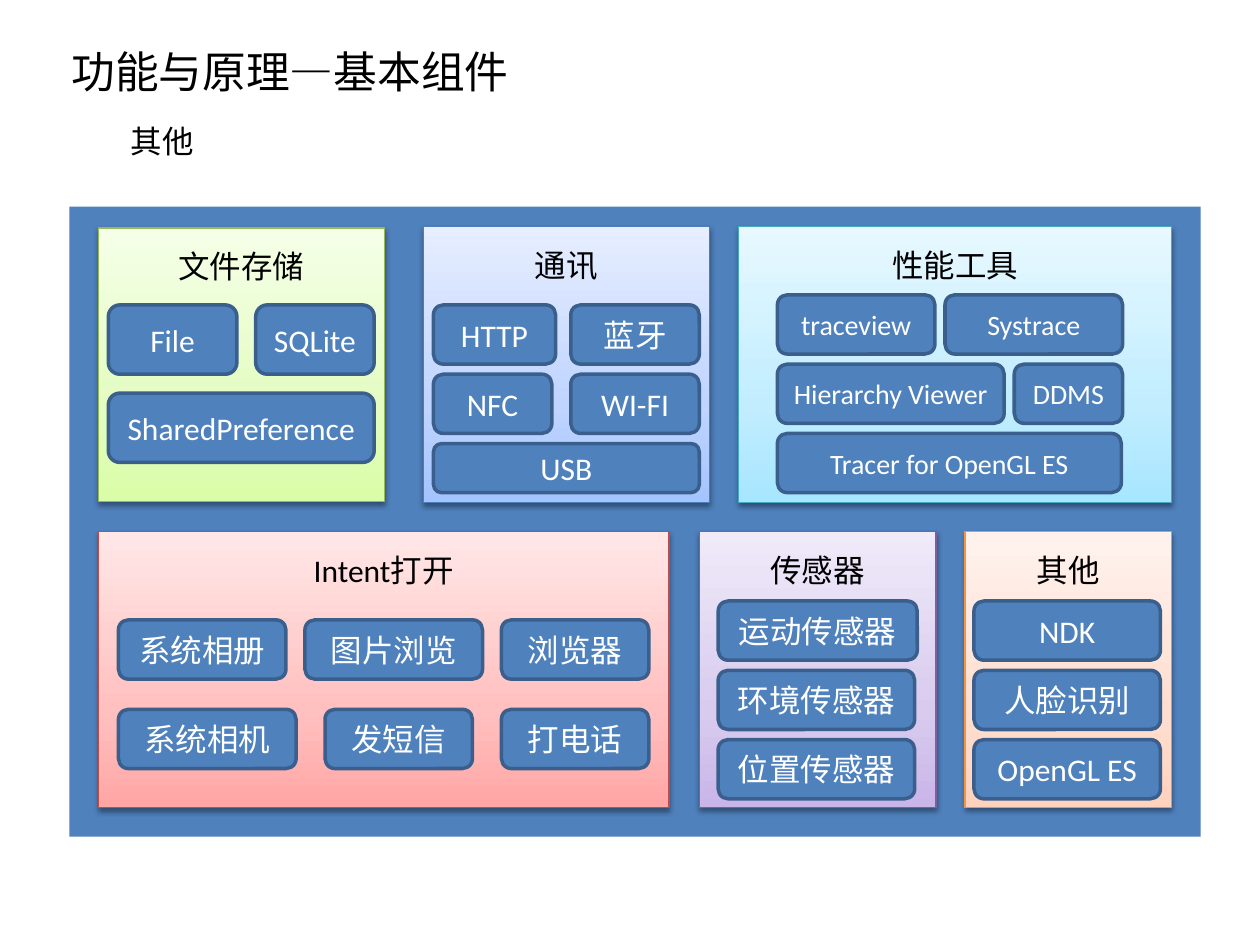
"""Build the overview slide of the basic components and their functions."""
from copy import deepcopy
from dataclasses import dataclass

from lxml import etree
from pptx import Presentation
from pptx.dml.color import RGBColor
from pptx.enum.shapes import MSO_SHAPE
from pptx.enum.text import MSO_ANCHOR, MSO_AUTO_SIZE, PP_ALIGN
from pptx.oxml.ns import qn
from pptx.util import Inches, Pt

RECTANGLE = MSO_SHAPE.RECTANGLE
ROUNDED = MSO_SHAPE.ROUNDED_RECTANGLE
TOP, MIDDLE = MSO_ANCHOR.TOP, MSO_ANCHOR.MIDDLE
CENTER = PP_ALIGN.CENTER
GROW = MSO_AUTO_SIZE.SHAPE_TO_FIT_TEXT


@dataclass(frozen=True)
class Theme:
    blue: str = "4F81BD"
    tile_line: str = "3A5F8C"
    dark: str = "000000"
    light: str = "FFFFFF"
    latin: str = "Calibri"
    chinese: str = "Noto Sans CJK SC"
    title_size: int = 25
    body_size: int = 18
    small_size: int = 16
    tile_line_width: float = 2
    panel_line_width: float = 0.75
    gradient_positions: tuple = (0, 0.35, 1)


@dataclass(frozen=True)
class Tile:
    label: str
    left: float
    width: float


@dataclass(frozen=True)
class Row:
    top: float
    height: float
    tiles: tuple[Tile, ...]


@dataclass(frozen=True)
class Panel:
    title: str
    left: float
    top: float
    width: float
    height: float
    gradient: tuple[str, str, str]
    line: str
    rows: tuple[Row, ...]
    tile_size: int = 18


THEME = Theme()
UPPER, LOWER, PANEL_HEIGHT = 1.8, 4.22, 2.19
TILE_HEIGHT = 0.47
STACK_STEP = 0.55

PANELS = (
    Panel("文件存储", 0.78, 1.81, 2.27, 2.17, ("DAFDA7", "E4FCC2", "F5FFE7"), "98B955", (
        Row(2.42, 0.55, (Tile("File", 0.86, 1.02), Tile("SQLite", 2.03, 0.94))),
        Row(3.12, 0.55, (Tile("SharedPreference", 0.86, 2.11),)),
    )),
    Panel("通讯", 3.36, UPPER, 2.27, PANEL_HEIGHT, ("A4C4FF", "BFD4FF", "E6EEFF"), "4B7EBC", (
        Row(2.42, TILE_HEIGHT, (Tile("HTTP", 3.44, 0.97), Tile("蓝牙", 4.53, 1.02))),
        Row(2.97, TILE_HEIGHT, (Tile("NFC", 3.44, 0.94), Tile("WI-FI", 4.53, 1.02))),
        Row(3.52, 0.39, (Tile("USB", 3.44, 2.11),)),
    )),
    Panel("性能工具", 5.86, UPPER, 3.44, PANEL_HEIGHT, ("A7E6FF", "C1EDFF", "E7F8FF"), "46AAC5", (
        Row(2.34, TILE_HEIGHT, (Tile("traceview", 6.17, 1.25), Tile("Systrace", 7.5, 1.41))),
        Row(2.89, TILE_HEIGHT, (Tile("Hierarchy Viewer", 6.17, 1.8), Tile("DDMS", 8.05, 0.86))),
        Row(3.44, TILE_HEIGHT, (Tile("Tracer for OpenGL ES", 6.17, 2.73),)),
    ), THEME.small_size),
    Panel("Intent打开", 0.78, LOWER, 4.53, PANEL_HEIGHT, ("FFA6A5", "FFC0BF", "FFE7E7"), "BF4C48", (
        Row(4.92, TILE_HEIGHT, (Tile("系统相册", 0.94, 1.33), Tile("图片浏览", 2.42, 1.41),
                                Tile("浏览器", 3.98, 1.17))),
        Row(5.63, TILE_HEIGHT, (Tile("系统相机", 0.94, 1.41), Tile("发短信", 2.58, 1.17),
                                Tile("打电话", 3.98, 1.17))),
    )),
    Panel("传感器", 5.55, LOWER, 1.88, PANEL_HEIGHT, ("C9B5E8", "D8CBEE", "F0EAF9"), "7D60A0", tuple(
        Row(4.77 + index * STACK_STEP, TILE_HEIGHT, (Tile(label, 5.7, width),))
        for index, (label, width) in enumerate(
            (("运动传感器", 1.58), ("环境传感器", 1.56), ("位置传感器", 1.56)))
    )),
    Panel("其他", 7.66, LOWER, 1.64, PANEL_HEIGHT, ("FFD2BD", "FFDED0", "FFF2ED"), "F69240", tuple(
        Row(4.77 + index * STACK_STEP, TILE_HEIGHT, (Tile(label, 7.73, 1.48),))
        for index, label in enumerate(("NDK", "人脸识别", "OpenGL ES"))
    )),
)


def write_text(frame, text: str, size: int, color: str, latin: str) -> None:
    frame.text = text
    for span in frame.paragraphs[0].runs:
        span.font.size = Pt(size)
        span.font.name = latin
        span.font.color.rgb = RGBColor.from_string(color)
        east_asian = etree.Element(qn("a:ea"), typeface=THEME.chinese)
        span.font._element.find(qn("a:latin")).addnext(east_asian)


def add_heading(page, text: str, left: float, top: float, width: float, height: float, size: int) -> None:
    box = page.shapes.add_textbox(Inches(left), Inches(top), Inches(width), Inches(height))
    box.text_frame.word_wrap = False
    box.text_frame.auto_size = GROW
    write_text(box.text_frame, text, size, THEME.dark, THEME.chinese)


def add_block(page, kind, left: float, top: float, width: float, height: float):
    block = page.shapes.add_shape(kind, Inches(left), Inches(top), Inches(width), Inches(height))
    block.shadow.inherit = False
    block.fill.solid()
    block.fill.fore_color.rgb = RGBColor.from_string(THEME.blue)
    block.line.fill.background()
    return block


def set_line(block, color: str, width: float) -> None:
    block.line.color.rgb = RGBColor.from_string(color)
    block.line.width = Pt(width)


def set_label(block, text: str, size: int, color: str, anchor) -> None:
    frame = block.text_frame
    frame.word_wrap = True
    frame.vertical_anchor = anchor
    write_text(frame, text, size, color, THEME.latin)
    frame.paragraphs[0].alignment = CENTER


def set_gradient(block, colors: tuple[str, str, str]) -> None:
    block.fill.gradient()
    block.fill.gradient_angle = 90
    stop_list = block._element.spPr.find(qn("a:gradFill")).find(qn("a:gsLst"))
    stop_list.append(deepcopy(stop_list[-1]))
    for stop, color, position in zip(block.fill.gradient_stops, colors, THEME.gradient_positions):
        stop.color.rgb = RGBColor.from_string(color)
        stop.position = position


def add_shadow(block) -> None:
    effects = block._element.spPr.find(qn("a:effectLst"))
    shadow = etree.SubElement(effects, qn("a:outerShdw"), blurRad=str(Pt(3.1)), dist=str(Pt(1.6)),
                              dir="5400000", rotWithShape="0")
    color = etree.SubElement(shadow, qn("a:srgbClr"), val=THEME.dark)
    etree.SubElement(color, qn("a:alpha"), val="38000")


def draw_tile(page, tile: Tile, row: Row, size: int) -> None:
    block = add_block(page, ROUNDED, tile.left, row.top, tile.width, row.height)
    set_line(block, THEME.tile_line, THEME.tile_line_width)
    set_label(block, tile.label, size, THEME.light, MIDDLE)


def draw_panel(page, panel: Panel) -> None:
    block = add_block(page, RECTANGLE, panel.left, panel.top, panel.width, panel.height)
    set_gradient(block, panel.gradient)
    set_line(block, panel.line, THEME.panel_line_width)
    add_shadow(block)
    block.text_frame.margin_top = Inches(0.15)
    set_label(block, panel.title, THEME.body_size, THEME.dark, TOP)
    for row in panel.rows:
        for tile in row.tiles:
            draw_tile(page, tile, row, panel.tile_size)


def main() -> None:
    deck = Presentation()
    deck.slide_width, deck.slide_height = Inches(10), Inches(7.5)
    page = deck.slides.add_slide(deck.slide_layouts[6])
    add_heading(page, "功能与原理—基本组件", 0.47, 0.31, 3.74, 0.52, THEME.title_size)
    add_heading(page, "其他", 0.94, 0.92, 0.71, 0.4, THEME.body_size)
    add_block(page, RECTANGLE, 0.55, 1.64, 8.98, 5)
    for panel in PANELS:
        draw_panel(page, panel)
    deck.save("out.pptx")


if __name__ == "__main__":
    main()
